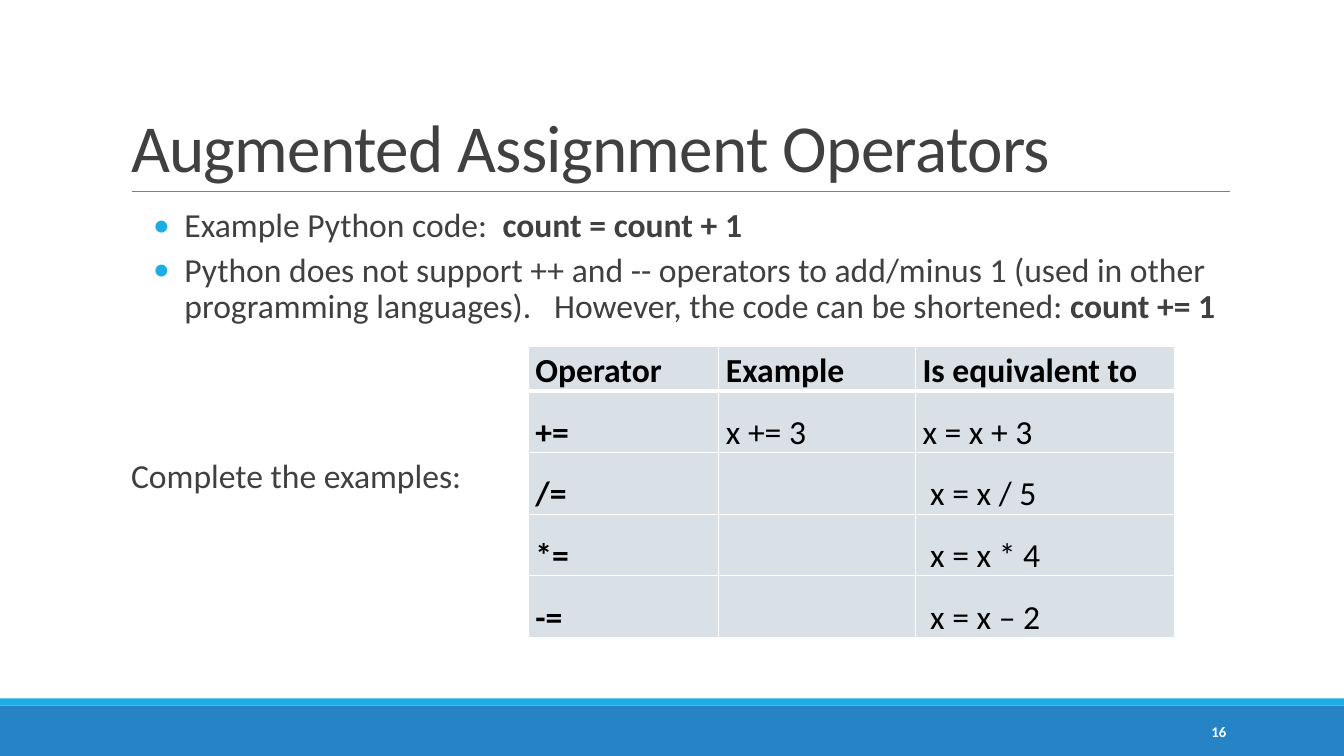
from lxml.etree import SubElement
from pptx import Presentation
from pptx.dml.color import RGBColor
from pptx.enum.shapes import MSO_CONNECTOR, MSO_SHAPE
from pptx.enum.text import MSO_ANCHOR, MSO_AUTO_SIZE, PP_ALIGN
from pptx.oxml.ns import qn
from pptx.util import Inches, Pt

COLORS = {
    "text": "404040", "black": "000000", "white": "FFFFFF", "rule": "808080",
    "accent": "1CADE4", "footer": "2683C6", "cell": "D9E0E6",
}
FONT = "Calibri"
TABLE_ROWS = [
    ("Operator", "Example", "Is equivalent to"),
    ("+=", "x += 3", "x = x + 3"),
    ("/=", "", " x = x / 5"),
    ("*=", "", " x = x * 4"),
    ("-=", "", " x = x – 2"),
]
BULLETS = [
    [("Example Python code:  ", False), ("count = count + 1", True)],
    [("Python does not support ++ and -- operators to add/minus 1 (used in other "
      "programming languages).   However, the code can be shortened: ", False),
     ("count += 1", True)],
]


def color(name):
    return RGBColor.from_string(COLORS[name])


def add_text(paragraph, text, size=24, bold=False, fill="text", spacing=None,
             align=None, line_spacing=0.9):
    paragraph.line_spacing = line_spacing
    if align is not None:
        paragraph.alignment = align
    run = paragraph.add_run()
    run.text = text
    run.font.name = FONT
    run.font.size = Pt(size)
    run.font.bold = bold
    run.font.color.rgb = color(fill)
    if spacing is not None:
        run.font._element.set("spc", str(int(spacing * 100)))


def add_text_box(slide, left, top, width, height, side_inset=0.0):
    box = slide.shapes.add_textbox(Inches(left), Inches(top), Inches(width), Inches(height))
    frame = box.text_frame
    frame.word_wrap = True
    frame.margin_left = frame.margin_right = Inches(side_inset)
    return frame


def add_bullet(paragraph, indent, hanging):
    properties = paragraph._p.get_or_add_pPr()
    properties.set("marL", str(Inches(indent)))
    properties.set("indent", str(-Inches(hanging)))
    bullet_color = SubElement(properties, qn("a:buClr"))
    SubElement(bullet_color, qn("a:srgbClr")).set("val", COLORS["accent"])
    SubElement(properties, qn("a:buFont")).set("typeface", FONT)
    SubElement(properties, qn("a:buChar")).set("char", "•")


def add_footer(slide, left, top, width, height):
    stripe = 0.07
    for y, bar_height, fill in ((top + stripe, height - stripe, "footer"),
                                (top, stripe, "accent")):
        bar = slide.shapes.add_shape(MSO_SHAPE.RECTANGLE, Inches(left), Inches(y),
                                     Inches(width), Inches(bar_height))
        bar.shadow.inherit = False
        bar.fill.solid()
        bar.fill.fore_color.rgb = color(fill)
        bar.line.fill.background()
    frame = add_text_box(slide, left + 10.83, top + 0.13, 1.43, 0.4, side_inset=0.1)
    frame.vertical_anchor = MSO_ANCHOR.MIDDLE
    add_text(frame.paragraphs[0], "16", size=10.5, bold=True, fill="white",
             align=PP_ALIGN.RIGHT, line_spacing=1.0)


def add_title(slide, left, top, width, height):
    """Fill the title placeholder and rule a line under it."""
    title = slide.shapes.title
    title.left, title.top = Inches(left), Inches(top)
    title.width, title.height = Inches(width), Inches(height)
    frame = title.text_frame
    frame.auto_size = MSO_AUTO_SIZE.NONE
    frame.vertical_anchor = MSO_ANCHOR.BOTTOM
    add_text(frame.paragraphs[0], "Augmented Assignment Operators", size=48,
             spacing=-0.5, align=PP_ALIGN.LEFT, line_spacing=0.85)
    bottom = Inches(top + height)
    rule = slide.shapes.add_connector(MSO_CONNECTOR.STRAIGHT, Inches(left + 0.11), bottom,
                                      Inches(left + width), bottom)
    rule.line.color.rgb = color("rule")
    rule.line.width = Pt(0.5)
    SubElement(rule._element.spPr, qn("a:effectLst"))


def add_body(slide, left, top, width):
    frame = add_text_box(slide, left, top, width, 1.3)
    for index, parts in enumerate(BULLETS):
        paragraph = frame.add_paragraph() if index else frame.paragraphs[0]
        paragraph.space_before, paragraph.space_after = Pt(2), Pt(4)
        for text, bold in parts:
            add_text(paragraph, text, bold=bold)
        add_bullet(paragraph, indent=0.63, hanging=0.31)
    prompt = add_text_box(slide, left + 0.1, top + 2.49, 3.8, 0.46)
    add_text(prompt.paragraphs[0], "Complete the examples:")


def set_borders(cell, bottom_width):
    properties = cell._tc.get_or_add_tcPr()
    for side, width in (("L", 1), ("R", 1), ("T", 1), ("B", bottom_width)):
        line = SubElement(properties, qn(f"a:ln{side}"))
        line.set("w", str(Pt(width)))
        fill = SubElement(line, qn("a:solidFill"))
        SubElement(fill, qn("a:srgbClr")).set("val", COLORS["white"])


def add_operator_table(slide, left, top):
    widths = [1.89, 1.95, 2.57]
    heights = [0.44] + [0.58] * (len(TABLE_ROWS) - 1)
    table = slide.shapes.add_table(len(heights), len(widths), Inches(left), Inches(top),
                                   Inches(sum(widths)), Inches(sum(heights))).table
    for column, width in zip(table.columns, widths):
        column.width = Inches(width)
    for r, values in enumerate(TABLE_ROWS):
        table.rows[r].height = Inches(heights[r])
        header = r == 0
        for c, text in enumerate(values):
            cell = table.cell(r, c)
            cell.margin_left = cell.margin_right = Inches(0.07)
            cell.margin_top, cell.margin_bottom = Inches(0.01), 0
            set_borders(cell, bottom_width=3 if header else 1)
            cell.fill.solid()
            cell.fill.fore_color.rgb = color("cell")
            if text:
                add_text(cell.text_frame.paragraphs[0], text, bold=header or c == 0,
                         fill="black", line_spacing=1.07 if header else 1.5)


def main():
    presentation = Presentation()
    presentation.slide_width = Inches(13.33)
    presentation.slide_height = Inches(7.5)
    slide = presentation.slides.add_slide(presentation.slide_layouts[5])
    add_footer(slide, 0, 6.93, 13.33, 0.57)
    add_title(slide, 1.2, 0.31, 11, 1.59)
    add_body(slide, 1.2, 2.02, 11)
    add_operator_table(slide, 5.24, 3.44)
    presentation.save("out.pptx")


if __name__ == "__main__":
    main()
